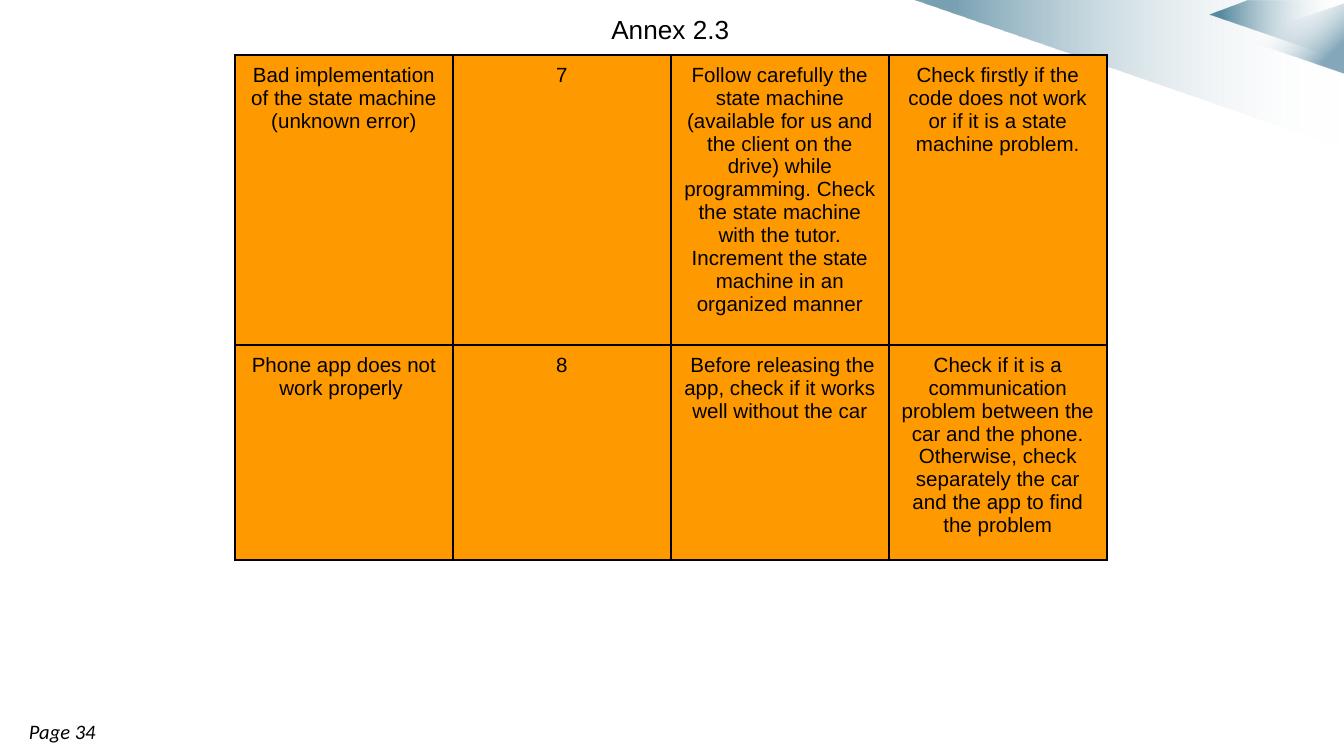
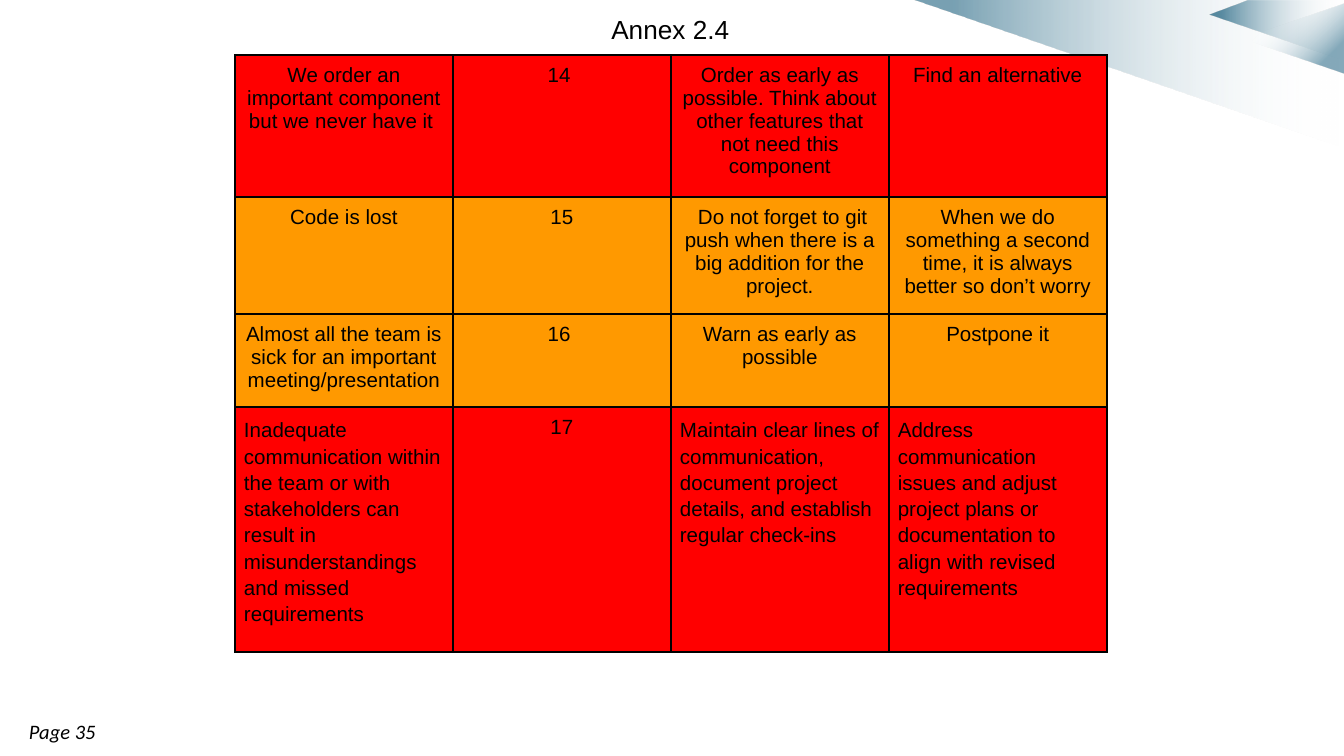
from lxml import etree
from pptx import Presentation
from pptx import util as u
from pptx.dml.color import RGBColor
from pptx.enum import shapes, text
from pptx.oxml import ns

# Content: each risk is (level, problem, number, prevention, solution)
ANNEXES = [
    ("Annex 2.3 ", "Page 34", (290, 215), [
        ("medium", "Bad implementation of the state machine (unknown error)", "7",
         "Follow carefully the state machine (available for us and the client on the drive) "
         "while programming. Check the state machine with the tutor. Increment the state "
         "machine in an organized manner",
         "Check firstly if the code does not work or if it is a state machine problem."),
        ("medium", "Phone app does not work properly ", "8",
         " Before releasing the app, check if it works well without the car",
         "Check if it is a communication problem between the car and the phone. Otherwise, "
         "check separately the car and the app to find the problem"),
    ]),
    ("Annex 2.4 ", "Page 35", (142, 117, 93, 245), [
        ("high", "We order an important component but we never have it ", "14 ",
         "Order as early as possible. Think about other features that not need this component",
         "Find an alternative"),
        ("medium", "Code is lost", "15",
         " Do not forget to git push when there is a big addition for the project.",
         "When we do something a second time, it is always better so don’t worry"),
        ("medium", "Almost all the team is sick for an important meeting/presentation", "16 ",
         "Warn as early as possible", "Postpone it"),
        ("high", "Inadequate communication within the team or with stakeholders can result in "
         "misunderstandings and missed requirements", "17",
         "Maintain clear lines of communication, document project details, and establish "
         "regular check-ins",
         "Address communication issues and adjust project plans or documentation to align "
         "with revised requirements"),
    ]),
]
LEFT_ALIGNED = {"17"}  # risks whose long texts are set left with open lines

# Shared look
BLACK = RGBColor(0x00, 0x00, 0x00)
WHITE = RGBColor(0xFF, 0xFF, 0xFF)
TEAL = RGBColor(0x00, 0x4D, 0x6F)
LEVEL_FILL = {"medium": RGBColor(0xFF, 0x99, 0x00), "high": RGBColor(0xFF, 0x00, 0x00)}
BODY_FONT, PAGE_FONT = "Arial", "Calibri"
CENTER, LEFT = text.PP_ALIGN.CENTER, text.PP_ALIGN.LEFT
PX = 914400 / 134.4
COLUMN_WIDTH, CELL_MARGIN = 218, 9

# Corner bands: outline and opacity of the dark end
BANDS = [
    ([(1343, 148), (913, 0), (1344, 0)], 53),
    ([(1344, 60), (1210, 15), (1248, 1), (1344, 1)], 63),
]


def px(*lengths):
    return [u.Emu(round(n * PX)) for n in lengths]


def write(tf, words, font=BODY_FONT, size=11, italic=False, align=LEFT, spacing=None):
    p = tf.paragraphs[0]
    p.alignment = align
    p.line_spacing = spacing
    r = p.add_run()
    r.text = words
    r.font.name, r.font.size, r.font.italic = font, u.Pt(size), italic
    r.font.color.rgb = BLACK


def set_margins(tf, x, y):
    tf.margin_left = tf.margin_right = px(x)[0]
    tf.margin_top = tf.margin_bottom = px(y)[0]


def fade(sp, angle, stops):
    """Fill a shape with a gradient of (position, colour, opacity) stops."""
    sp.shadow.inherit = False
    sp.line.fill.background()
    sp.fill.background()
    no_fill = sp.element.spPr.find(ns.qn("a:noFill"))
    grad = etree.Element(ns.qn("a:gradFill"), rotWithShape="1")
    gs_list = etree.SubElement(grad, ns.qn("a:gsLst"))
    for position, colour, opacity in stops:
        gs = etree.SubElement(gs_list, ns.qn("a:gs"), pos=str(position * 1000))
        clr = etree.SubElement(gs, ns.qn("a:srgbClr"), val=str(colour))
        etree.SubElement(clr, ns.qn("a:alpha"), val=str(opacity * 1000))
    etree.SubElement(grad, ns.qn("a:lin"), ang=str(angle * 60000), scaled="0")
    no_fill.getparent().replace(no_fill, grad)


def draw_corner(s):
    for points, opacity in BANDS:
        outline = s.shapes.build_freeform(*points[0], scale=PX)
        outline.add_line_segments(points[1:], close=True)
        fade(outline.convert_to_shape(), 180,
             [(0, WHITE, 0), (1, WHITE, 0), (91, TEAL, opacity), (100, TEAL, opacity)])
    tip = s.shapes.add_shape(shapes.MSO_SHAPE.ISOSCELES_TRIANGLE, *px(1259, -12, 69, 101))
    tip.rotation = 270
    fade(tip, 135, [(0, WHITE, 0), (27, WHITE, 0), (81, TEAL, 48), (100, TEAL, 48)])


def add_borders(cell):
    tc_pr = cell._tc.get_or_add_tcPr()
    for i, side in enumerate(("lnL", "lnR", "lnT", "lnB")):
        ln = etree.Element(ns.qn("a:" + side), w=str(u.Pt(1)))
        fill = etree.SubElement(ln, ns.qn("a:solidFill"))
        etree.SubElement(fill, ns.qn("a:srgbClr"), val=str(BLACK))
        tc_pr.insert(i, ln)


def add_risks(s, risks, heights):
    columns = len(risks[0]) - 1
    frame = s.shapes.add_table(len(risks), columns,
                               *px(235, 55, COLUMN_WIDTH * columns, sum(heights)))
    table = frame.table
    table.first_row = table.horz_banding = False
    for column in table.columns:
        column.width = px(COLUMN_WIDTH)[0]
    for row, height, (level, *words) in zip(table.rows, heights, risks):
        row.height = px(height)[0]
        number = words[1]
        for cell, word in zip(row.cells, words):
            set_margins(cell, CELL_MARGIN, CELL_MARGIN)
            cell.fill.solid()
            cell.fill.fore_color.rgb = LEVEL_FILL[level]
            add_borders(cell)
            if number in LEFT_ALIGNED and word != number:
                write(cell.text_frame, word, spacing=1.15)
            else:
                write(cell.text_frame, word, align=CENTER)


def add_title(s, words):
    title = s.shapes.title
    title.left, title.top, title.width, title.height = px(551, 0, 246, 35)
    tf = title.text_frame
    tf.word_wrap = True
    tf.auto_size = text.MSO_AUTO_SIZE.NONE
    tf.vertical_anchor = text.MSO_ANCHOR.TOP
    set_margins(tf, 13, 13)
    write(tf, words, size=14, align=CENTER)


def add_page(s, words):
    tf = s.shapes.add_textbox(*px(16, 712, 360, 39)).text_frame
    tf.word_wrap = True
    set_margins(tf, 13, 7)
    write(tf, words, font=PAGE_FONT, italic=True)


def main():
    prs = Presentation()
    prs.slide_width, prs.slide_height = px(1344, 756)
    title_only = prs.slide_layouts[5]
    for title, page, heights, risks in ANNEXES:
        s = prs.slides.add_slide(title_only)
        draw_corner(s)
        add_page(s, page)
        add_risks(s, risks, heights)
        add_title(s, title)
    prs.save("out.pptx")


if __name__ == "__main__":
    main()
